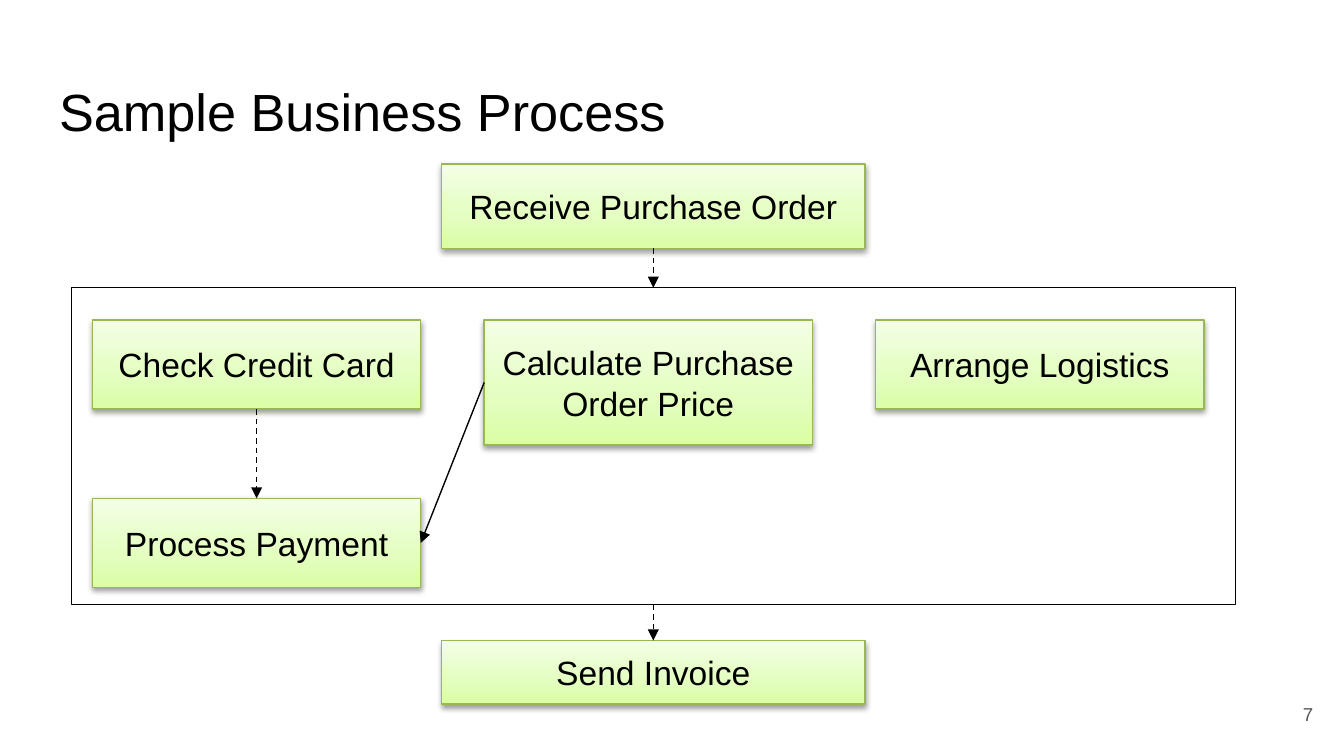
from copy import deepcopy
from lxml.etree import SubElement as Sub
from pptx import Presentation
from pptx.dml.color import RGBColor as RGB
from pptx.enum.dml import MSO_LINE as Dash
from pptx.enum.shapes import MSO_CONNECTOR as Conn, MSO_SHAPE as Kind
from pptx.enum.text import MSO_ANCHOR as Anchor, PP_ALIGN as Align
from pptx.oxml.ns import qn
from pptx.util import Pt

BLACK, EDGE, GREY = "000000", "97B853", "595959"
FADE = [(0, "DAFEA4"), (0.35, "E3FEBF"), (1, "F4FEE6")]
TOP, LEFT, BOTTOM, RIGHT = range(4)


def paint(color, code):
    color.rgb = RGB.from_string(code)


def place(shape, x, y, w, h):
    shape.left, shape.top = Pt(x), Pt(y)
    shape.width, shape.height = Pt(w), Pt(h)


def write(frame, lines, size, code, align, anchor, pad):
    frame.word_wrap = True
    frame.vertical_anchor = anchor
    frame.margin_left = frame.margin_right = Pt(7.2)
    frame.margin_top = frame.margin_bottom = Pt(pad)
    for i, line in enumerate(lines):
        para = frame.add_paragraph() if i else frame.paragraphs[0]
        para.alignment = align
        run = para.add_run()
        run.text = line
        run.font.name, run.font.size = "Arial", Pt(size)
        paint(run.font.color, code)


def shade(shape):
    fill = shape.fill
    fill.gradient()
    fill.gradient_angle = 90
    first = next(shape.element.spPr.iter(qn("a:gs")))
    first.addnext(deepcopy(first))
    for stop, (spot, code) in zip(fill.gradient_stops, FADE):
        stop.position = spot
        paint(stop.color, code)


def cast(shape):
    effect = shape.element.spPr.find(qn("a:effectLst"))
    shadow = Sub(effect, qn("a:outerShdw"), blurRad=str(Pt(3.1)),
                 dist=str(Pt(1.6)), dir="5400000", rotWithShape="0")
    color = Sub(shadow, qn("a:srgbClr"), val=BLACK)
    Sub(color, qn("a:alpha"), val="38000")


def outline(slide, x, y, w, h, code):
    shape = slide.shapes.add_shape(Kind.RECTANGLE, Pt(x), Pt(y), Pt(w), Pt(h))
    shape.shadow.inherit = False
    shape.fill.background()
    shape.line.width = Pt(0.75)
    paint(shape.line.color, code)
    return shape


def step(slide, lines, x, y, w, h):
    shape = outline(slide, x, y, w, h, EDGE)
    shade(shape)
    cast(shape)
    write(shape.text_frame, lines, 18, BLACK, Align.CENTER, Anchor.MIDDLE, 3.6)
    return shape


def arrow(slide, start, out, end, into, dash=True):
    link = slide.shapes.add_connector(Conn.STRAIGHT, 0, 0, 0, 0)
    link.begin_connect(start, out)
    link.end_connect(end, into)
    link.line.width = Pt(0.75)
    paint(link.line.color, BLACK)
    if dash:
        link.line.dash_style = Dash.DASH
    props = link.element.spPr
    Sub(props.find(qn("a:ln")), qn("a:tailEnd"), type="triangle")
    Sub(props, qn("a:effectLst"))


def main():
    deck = Presentation()
    deck.slide_width, deck.slide_height = Pt(720), Pt(405)
    slide = deck.slides.add_slide(deck.slide_layouts[5])

    title = slide.shapes.title
    place(title, 24.5, 35.3, 671, 45.4)
    write(title.text_frame, ["Sample Business Process"], 28, BLACK,
          Align.LEFT, Anchor.TOP, 7.2)
    number = slide.shapes.add_textbox(Pt(667.4), Pt(367.2), Pt(43.2), Pt(31))
    write(number.text_frame, ["7"], 10, GREY, Align.RIGHT, Anchor.MIDDLE, 7.2)

    order = step(slide, ["Receive Purchase Order"], 236.6, 87.8, 226.8, 45.2)
    bill = step(slide, ["Send Invoice"], 236.6, 343.2, 226.8, 34)
    group = outline(slide, 38.2, 154.2, 623.6, 169.8, BLACK)

    left, gap, top, wide, high = 49.6, 209.8, 171.4, 175.8, 47.8
    check = step(slide, ["Check Credit Card"], left, top, wide, high)
    pay = step(slide, ["Process Payment"], left, 267, wide, high)
    price = step(slide, ["Calculate Purchase", "Order Price"],
                 left + gap, top, wide, 67)
    step(slide, ["Arrange Logistics"], left + 2 * gap, top, wide, high)

    arrow(slide, order, BOTTOM, group, TOP)
    arrow(slide, group, BOTTOM, bill, TOP)
    arrow(slide, check, BOTTOM, pay, TOP)
    arrow(slide, price, LEFT, pay, RIGHT, dash=False)
    deck.save("out.pptx")


if __name__ == "__main__":
    main()
